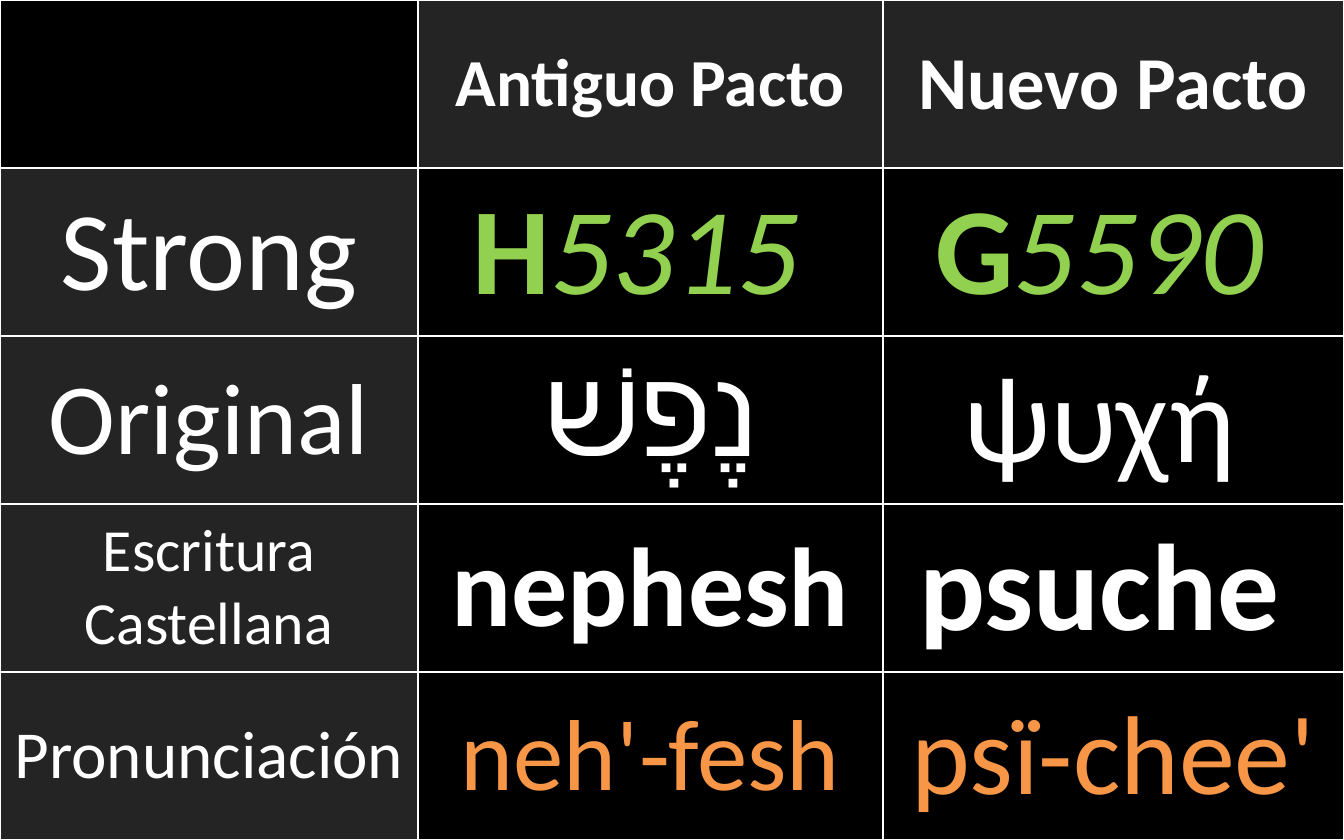
"""Build a slide with a table comparing the word for soul in both covenants."""
from lxml import etree
from pptx import Presentation
from pptx import util as u
from pptx.dml.color import RGBColor
from pptx.enum import text
from pptx.oxml.ns import qn

BLACK = RGBColor(0x00, 0x00, 0x00)
CHARCOAL = RGBColor(0x24, 0x24, 0x24)
WHITE = RGBColor(0xFF, 0xFF, 0xFF)
GREEN = RGBColor(0x92, 0xD0, 0x50)
ORANGE = RGBColor(0xF7, 0x96, 0x46)

COLUMN_WIDTHS = (3.11, 3.46, 3.43)
ROW_HEIGHT = 1.25
# Each entry: words, size, colour, bold; a tuple of words is a bold letter and an italic number.
ROWS = (
    (None, ("Antiguo Pacto", 36, WHITE, True), ("Nuevo Pacto", 40, WHITE, True)),
    (("Strong", 60, WHITE, False), (("H", "5315 "), 66, GREEN, False), (("G", "5590 "), 66, GREEN, False)),
    (("Original", 54, WHITE, False), ("נֶפֶשׁ", 66, WHITE, False), ("ψυχή ", 66, WHITE, False)),
    (("Escritura Castellana", 32, WHITE, False), ("nephesh", 60, WHITE, True), ("psuche ", 66, WHITE, True)),
    (("Pronunciación", 36, WHITE, False), ("neh'-fesh", 54, ORANGE, False), ("psï-chee'", 60, ORANGE, False)),
)


class SlideBuilder:
    """Hold the slide and its style, and draw the table on it."""

    font_name = "Calibri"
    border_color = WHITE
    border_width = u.Pt(1)

    def __init__(self, slide):
        """Start on the given slide with a black background."""
        self.slide = slide
        slide.background.fill.solid()
        slide.background.fill.fore_color.rgb = BLACK

    def table(self, rows, widths, row_height):
        """Add a table whose first row and first column are headers."""
        frame = self.slide.shapes.add_table(
            len(rows), len(widths), 0, 0,
            u.Inches(sum(widths)), u.Inches(row_height * len(rows)))
        table = frame.table
        table.first_row = table.horz_banding = False
        for column, width in zip(table.columns, widths):
            column.width = u.Inches(width)
        for row_index, row in enumerate(rows):
            table.rows[row_index].height = u.Inches(row_height)
            for column_index, content in enumerate(row):
                is_header = (row_index == 0) != (column_index == 0)
                cell = table.cell(row_index, column_index)
                self.borders(cell)
                cell.fill.solid()
                cell.fill.fore_color.rgb = CHARCOAL if is_header else BLACK
                if content:
                    self.cell_text(cell, *content)

    def borders(self, cell):
        """Draw a thin line on all four sides of a cell."""
        properties = cell._tc.get_or_add_tcPr()
        for side in ("a:lnL", "a:lnR", "a:lnT", "a:lnB"):
            line = etree.SubElement(properties, qn(side), w=str(self.border_width))
            fill = etree.SubElement(line, qn("a:solidFill"))
            etree.SubElement(fill, qn("a:srgbClr"), val=str(self.border_color))

    def cell_text(self, cell, words, size, color, bold):
        """Write centred words in a cell."""
        cell.vertical_anchor = text.MSO_ANCHOR.MIDDLE
        paragraph = cell.text_frame.paragraphs[0]
        paragraph.alignment = text.PP_ALIGN.CENTER
        paragraph.font.name = self.font_name
        paragraph.font.size = u.Pt(size)
        paragraph.font.color.rgb = color
        if isinstance(words, str):
            paragraph.font.bold = bold
            paragraph.add_run().text = words
            return
        letter, number = (paragraph.add_run() for _ in words)
        letter.text, number.text = words
        letter.font.bold = True
        number.font.italic = True


def main():
    """Create and save the presentation."""
    presentation = Presentation()
    presentation.slide_width = u.Inches(10)
    presentation.slide_height = u.Inches(6.25)
    builder = SlideBuilder(presentation.slides.add_slide(presentation.slide_layouts[6]))
    builder.table(ROWS, COLUMN_WIDTHS, ROW_HEIGHT)
    presentation.save("out.pptx")


if __name__ == "__main__":
    main()
